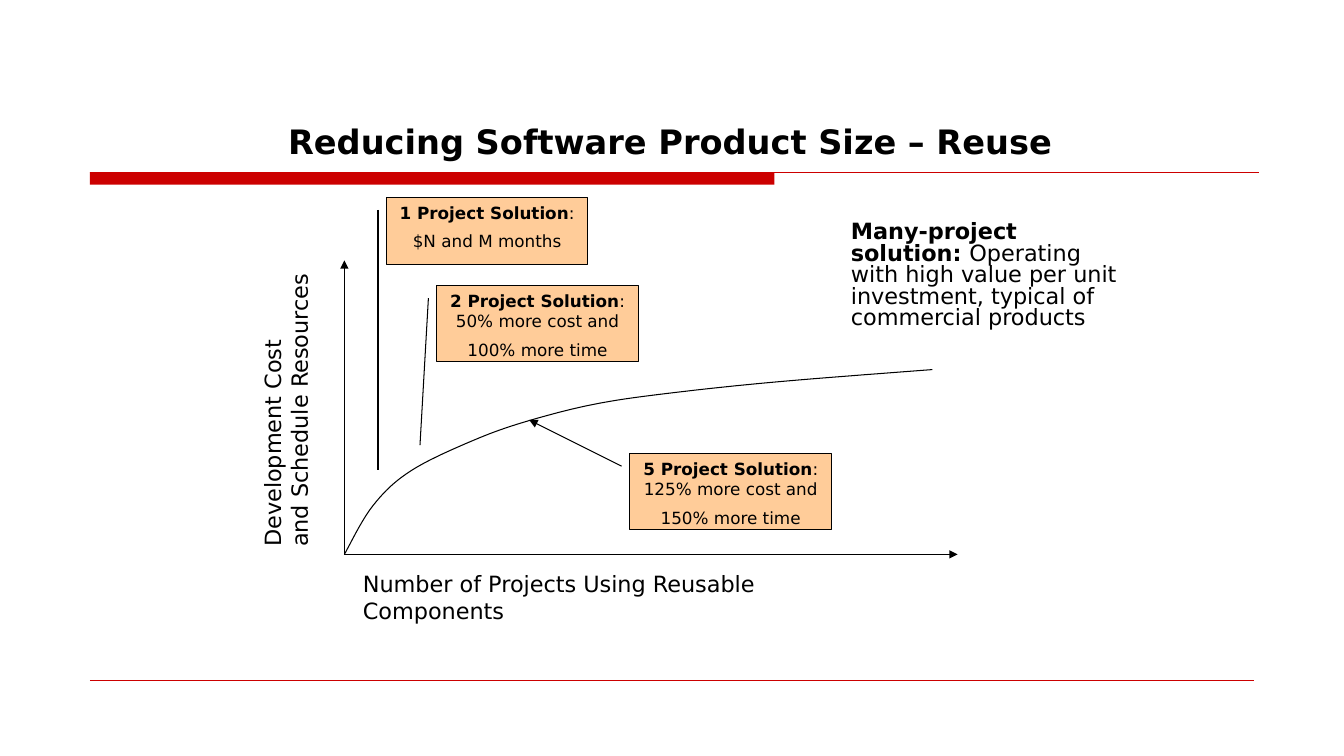
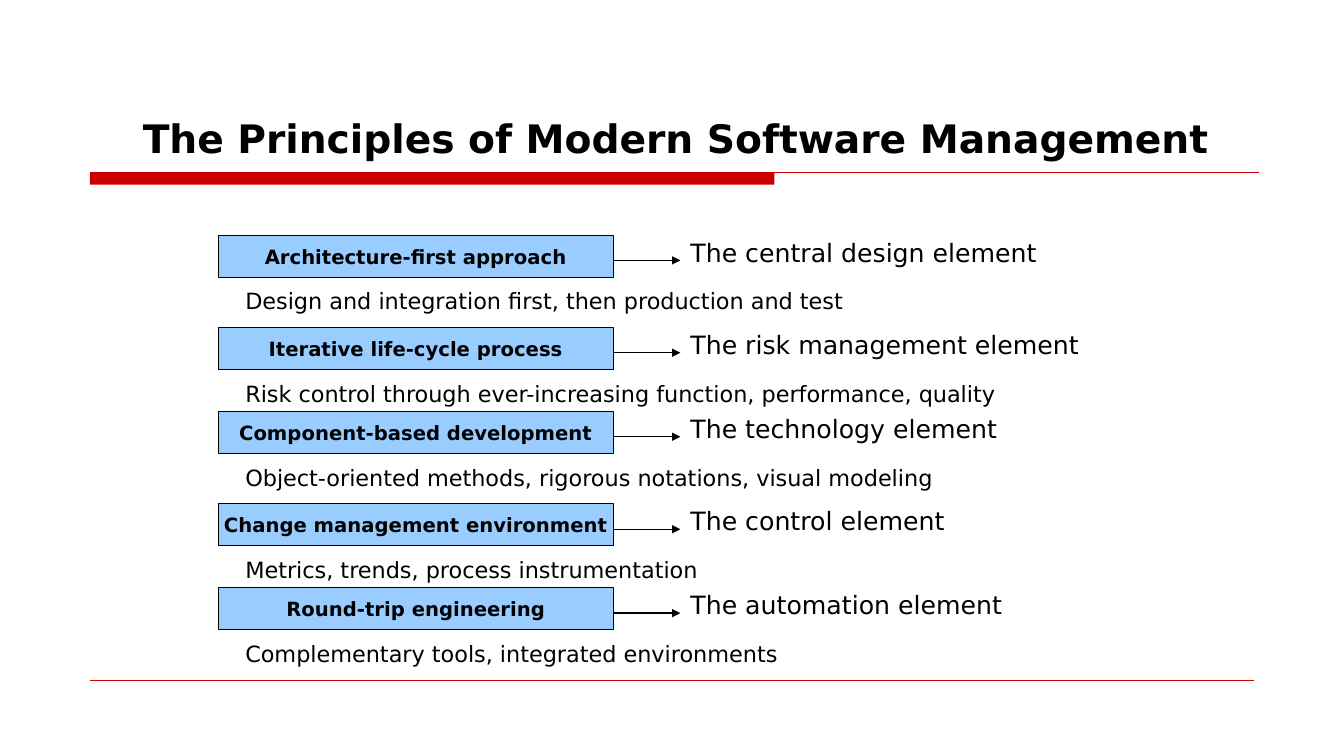
from dataclasses import dataclass
from math import ceil

from pptx import Presentation
from pptx.dml.color import RGBColor as Rgb
from pptx.enum.shapes import MSO_CONNECTOR as Link, MSO_SHAPE as Preset
from pptx.enum.text import MSO_ANCHOR as Anchor, MSO_AUTO_SIZE as Fit, PP_ALIGN as Align
from pptx.oxml.ns import qn
from pptx.util import Inches, Pt
from lxml.etree import SubElement

CELLS_PER_INCH = 12  # the grid has 160 columns and 90 rows


@dataclass(frozen=True)
class Theme:
    font: str = "DejaVu Sans"
    ink: str = "000000"
    accent: str = "CC0000"
    callout: str = "FFCC99"
    principle: str = "99CCFF"
    callout_size: float = 12
    principle_size: float = 14
    body_size: float = 16
    role_size: float = 18
    line_width: float = 0.75
    axis_width: float = 1
    rule_width: float = 0.25


def cells(count):
    return Inches(count / CELLS_PER_INCH)


def smooth_curve(knots, steps=10):
    """Points of a Catmull-Rom curve through the knots."""
    ends = [knots[0], *knots, knots[-1]]
    points = [knots[0]]
    for before, start, end, after in zip(ends, ends[1:], ends[2:], ends[3:]):
        for step in range(1, steps + 1):
            t = step / steps
            points.append(tuple(
                (2 * b + (c - a) * t + (2 * a - 5 * b + 4 * c - d) * t ** 2
                 + (3 * b - a - 3 * c + d) * t ** 3) / 2
                for a, b, c, d in zip(before, start, end, after)))
    return points


class SlideBuilder:
    def __init__(self, deck, theme):
        self.deck = deck
        self.theme = theme
        self.layout = deck.slide_layouts.get_by_name("Title Only")
        self.page = None
        self.has_bands = False

    # Page, title and shared bands
    def new_page(self, title, size, indent):
        self.page = self.deck.slides.add_slide(self.layout)
        if not self.has_bands:
            self.add_bands()
        box = self.page.shapes.title
        place = {"left": 11, "top": 6.4, "width": 136.2, "height": 12.8}
        for name, value in place.items():
            setattr(box, name, cells(value))
        self.fill_text(box, [[(title, True)]], size, anchor=Anchor.BOTTOM,
                       inset_left=indent)

    def add_bands(self):
        """Draw the red bands once and keep them on the layout."""
        theme = self.theme
        bands = [
            self.rectangle(10.7, 20.5, 81.5, 1.5, theme.accent),
            self.line((10.7, 20.5), (149.9, 20.5), theme.accent),
            self.line((10.7, 81), (149.3, 81), theme.accent, theme.rule_width),
        ]
        for band in bands:
            self.layout.shapes.element.append(band.element)
        self.has_bands = True

    # Text
    def fill_text(self, box, paragraphs, size, align=Align.LEFT, anchor=Anchor.TOP,
                  inset_left=0, inset_top=0, line_spacing=None, space_before=None):
        """Each paragraph is a list of (words, is_bold) pairs."""
        frame = box.text_frame
        frame_format = {
            "word_wrap": True, "auto_size": Fit.NONE, "vertical_anchor": anchor,
            "margin_left": cells(inset_left), "margin_top": cells(inset_top),
            "margin_right": 0, "margin_bottom": 0,
        }
        for name, value in frame_format.items():
            setattr(frame, name, value)
        for index, spans in enumerate(paragraphs):
            para = frame.add_paragraph() if index else frame.paragraphs[0]
            para.alignment = align
            if line_spacing:
                para.line_spacing = line_spacing
            if index and space_before:
                para.space_before = space_before
            for words, is_bold in spans:
                span = para.add_run()
                span.text = words
                font_format = {"name": self.theme.font, "size": Pt(size),
                               "bold": is_bold}
                for name, value in font_format.items():
                    setattr(span.font, name, value)
                span.font.color.rgb = Rgb.from_string(self.theme.ink)

    def text(self, left, top, width, height, paragraphs, size, **text_format):
        box = self.page.shapes.add_textbox(*map(cells, (left, top, width, height)))
        self.fill_text(box, paragraphs, size, **text_format)
        return box

    # Shapes
    def rectangle(self, left, top, width, height, fill, outline=None):
        box = self.page.shapes.add_shape(
            Preset.RECTANGLE, *map(cells, (left, top, width, height)))
        box.shadow.inherit = False
        box.fill.solid()
        box.fill.fore_color.rgb = Rgb.from_string(fill)
        if outline:
            self.stroke(box, outline, self.theme.line_width)
        else:
            box.line.fill.background()
        return box

    def label(self, left, top, width, height, fill, paragraphs, size, **text_format):
        box = self.rectangle(left, top, width, height, fill, self.theme.ink)
        self.fill_text(box, paragraphs, size, align=Align.CENTER, **text_format)

    # Lines
    def stroke(self, shape, color, width):
        shape.line.color.rgb = Rgb.from_string(color)
        shape.line.width = Pt(width)

    def line(self, start, end, color=None, width=None, arrow=False):
        link = self.page.shapes.add_connector(
            Link.STRAIGHT, *map(cells, (*start, *end)))
        self.stroke(link, color or self.theme.ink, width or self.theme.line_width)
        properties = link.element.spPr
        if arrow:
            SubElement(properties.find(qn("a:ln")), qn("a:tailEnd"), type="triangle")
        SubElement(properties, qn("a:effectLst"))
        return link

    def curve(self, knots):
        first, *rest = [tuple(map(cells, point)) for point in smooth_curve(knots)]
        builder = self.page.shapes.build_freeform(*first)
        builder.add_line_segments(rest, close=False)
        shape = builder.convert_to_shape()
        shape.shadow.inherit = False
        shape.fill.background()
        self.stroke(shape, self.theme.ink, self.theme.line_width)


def build_reuse_page(builder):
    theme = builder.theme
    builder.new_page("Reducing Software Product Size – Reuse", 24, 23.3)

    # Axes and cost curve
    origin = (41, 66)
    for axis_end in [(114, 66), (41, 31)]:
        builder.line(origin, axis_end, width=theme.axis_width, arrow=True)
    builder.curve([origin, (44.4, 60.2), (49, 56), (56.9, 52.2), (63.6, 49.9),
                   (71.4, 48), (80.6, 46.7), (93.2, 45.4), (111, 44)])

    # Axis labels
    across = builder.text(
        43.2, 67.9, 66.1, 3.5,
        [[("Number of Projects Using Reusable\tComponents", False)]], theme.body_size)
    para_properties = across.element.txBody.p_lst[0].get_or_add_pPr()
    tabs = SubElement(para_properties, qn("a:tabLst"))
    SubElement(tabs, qn("a:tab"), pos=str(cells(49.3)), algn="l")
    upright = builder.text(
        30.8, 32.1, 6.7, 33,
        [[("Development Cost", False)], [("and Schedule Resources", False)]],
        theme.body_size)
    upright.element.txBody.bodyPr.set("vert", "vert270")

    # Callouts and their pointers
    callouts = [
        (46, 23.5, 8, "1 Project Solution", ":", "$N and M months"),
        (52, 34, 9, "2 Project Solution", ": 50% more cost and", "100% more time"),
        (75, 54, 9, "5 Project Solution", ": 125% more cost and", "150% more time"),
    ]
    for left, top, height, name, cost, time in callouts:
        builder.label(left, top, 24, height, theme.callout,
                      [[(name, True), (cost, False)], [(time, False)]],
                      theme.callout_size, inset_top=0.6, space_before=Pt(6))
    builder.line((45, 25), (45, 56))
    builder.line((51, 35.5), (50, 53))
    builder.line((74, 55.5), (63, 50), arrow=True)

    # Remark on the many-project case
    builder.text(
        101.3, 25.8, 32.2, 13.8,
        [[("Many-project solution: ", True),
          ("Operating with high value per unit investment, typical of "
           "commercial products", False)]],
        theme.body_size, inset_top=0.7, line_spacing=Pt(15.4))


def build_principles_page(builder):
    theme = builder.theme
    builder.new_page("The Principles of Modern Software Management", 28, 6)
    principles = [
        ("Architecture-first approach", "The central design element",
         "Design and integration first, then production and test"),
        ("Iterative life-cycle process", "The risk management element",
         "Risk control through ever-increasing function, performance, quality"),
        ("Component-based development", "The technology element",
         "Object-oriented methods, rigorous notations, visual modeling"),
        ("Change management environment", "The control element",
         "Metrics, trends, process instrumentation"),
        ("Round-trip engineering", "The automation element",
         "Complementary tools, integrated environments"),
    ]
    for index, (name, role, detail) in enumerate(principles):
        top = 28 + ceil(10.5 * index)
        builder.label(26, top, 47, 5, theme.principle, [[(name, True)]],
                      theme.principle_size, inset_top=1.1)
        builder.line((73, top + 3), (81, top + 3), width=theme.axis_width, arrow=True)
        builder.text(82.2, top + 0.2, 48, 4, [[(role, False)]], theme.role_size)
        builder.text(29.2, top + 6.2, 94, 3.5, [[(detail, False)]], theme.body_size)


def main():
    deck = Presentation()
    deck.slide_width = cells(160)
    deck.slide_height = cells(90)
    builder = SlideBuilder(deck, Theme())
    build_reuse_page(builder)
    build_principles_page(builder)
    deck.save("out.pptx")


if __name__ == "__main__":
    main()
